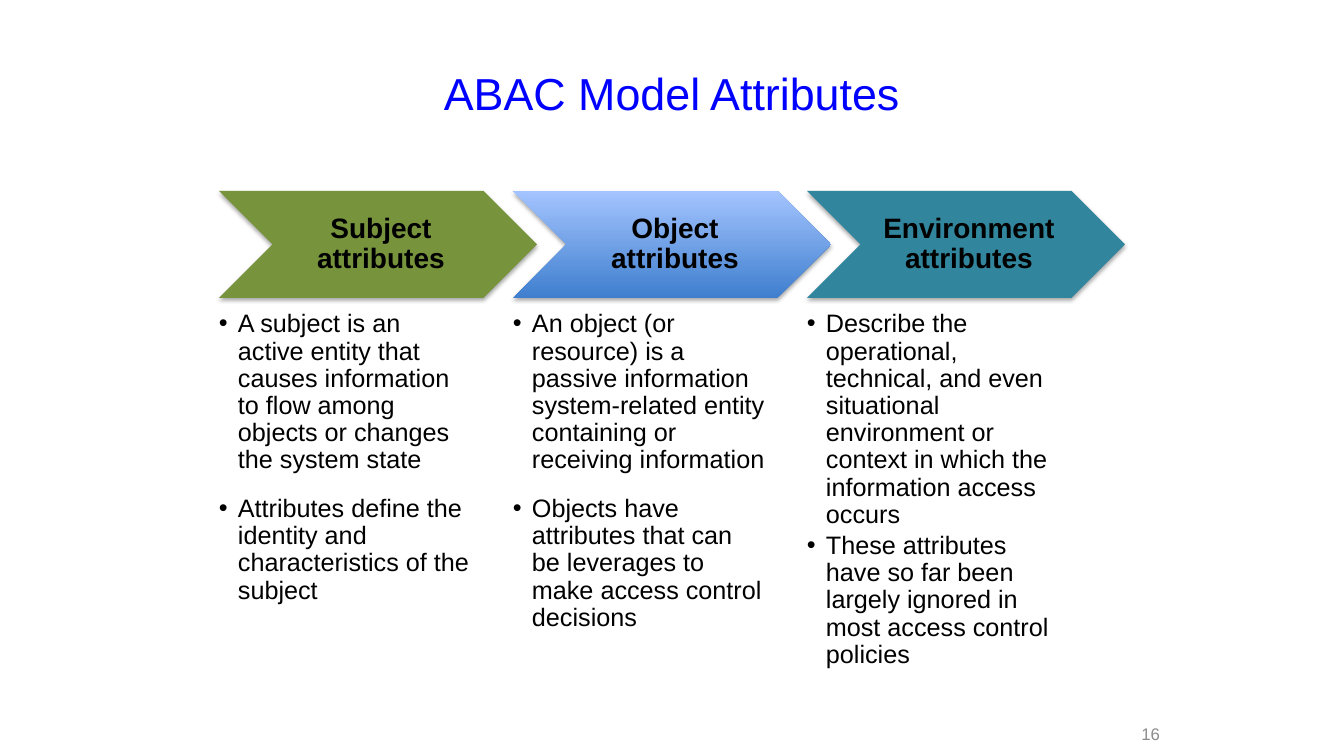
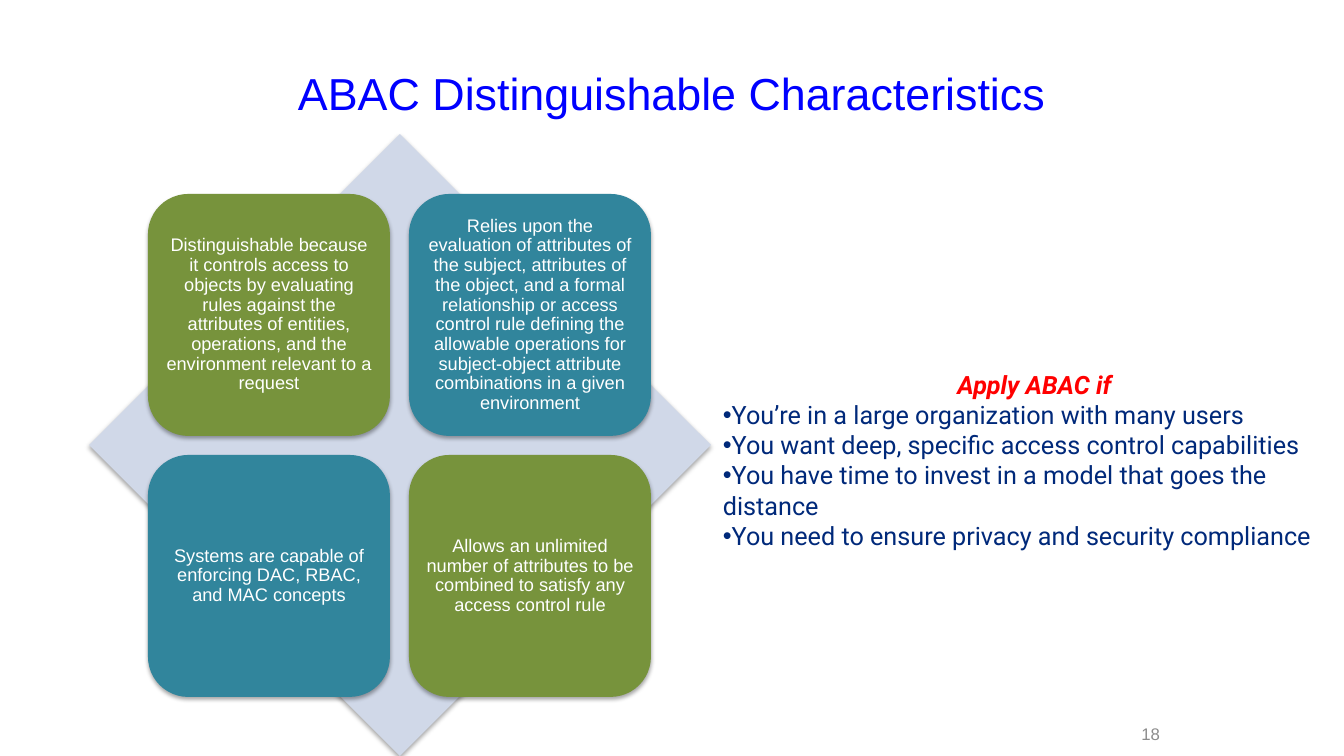
from lxml.etree import SubElement
from pptx import Presentation
from pptx.dml.color import RGBColor
from pptx.enum.shapes import MSO_SHAPE
from pptx.enum.text import MSO_ANCHOR, PP_ALIGN
from pptx.oxml.ns import qn
from pptx.util import Emu, Pt

EMU_PER_PX = 914400 / 100.8
GREEN, TEAL, PALE = "77933C", "31859C", "D0D8E8"
GRADIENT = ("3F7FCE", "A4C4FF")
BLACK, WHITE, GREY = "000000", "FFFFFF", "8C8C8C"
BLUE, NAVY, RED = "0000FF", "00297A", "FF0000"

COLUMNS = [
    ("Subject attributes", GREEN, 15.2, [
        "A subject is an active entity that causes information to flow among objects "
        "or changes the system state",
        "Attributes define the identity and characteristics of the subject",
    ]),
    ("Object attributes", GRADIENT, 15.2, [
        "An object (or resource) is a passive information system-related entity "
        "containing or receiving information",
        "Objects have attributes that can be leverages to make access control decisions",
    ]),
    ("Environment attributes", TEAL, 2.7, [
        "Describe the operational, technical, and even situational environment or "
        "context in which the information access occurs",
        "These attributes have so far been largely ignored in most access control policies",
    ]),
]
TILES = [
    ("Distinguishable because it controls access to objects by evaluating rules against "
     "the attributes of entities, operations, and the environment relevant to a request", GREEN),
    ("Relies upon the evaluation of attributes of the subject, attributes of the object, "
     "and a formal relationship or access control rule defining the allowable operations "
     "for subject-object attribute combinations in a given environment", TEAL),
    ("Systems are capable of enforcing DAC, RBAC, and MAC concepts", TEAL),
    ("Allows an unlimited number of attributes to be combined to satisfy any access "
     "control rule", GREEN),
]
ADVICE = [
    "Apply ABAC if",
    "You’re in a large organization with many users",
    "You want deep, specific access control capabilities",
    "You have time to invest in a model that goes the distance",
    "You need to ensure privacy and security compliance",
]


def px(length):
    return Emu(round(length * EMU_PER_PX))


def rgb(color):
    return RGBColor.from_string(color)


def set_margins(frame, left, top, right, bottom):
    frame.margin_left, frame.margin_top = px(left), px(top)
    frame.margin_right, frame.margin_bottom = px(right), px(bottom)


def format_paragraph(para, size, color, align=PP_ALIGN.LEFT, name="Arial",
                     bold=False, italic=False):
    para.alignment = align
    for span in para.runs:
        font = span.font
        font.name, font.size, font.bold, font.italic = name, Pt(size), bold, italic
        font.color.rgb = rgb(color)


def add_bullet(para, indent=0):
    properties = para._p.get_or_add_pPr()
    properties.set("marL", str(px(indent)))
    properties.set("indent", str(-px(indent)))
    SubElement(properties, qn("a:buFont")).set("typeface", "Arial")
    SubElement(properties, qn("a:buChar")).set("char", "•")


def add_text(page, area, text, anchor=MSO_ANCHOR.TOP):
    box = page.shapes.add_textbox(*map(px, area))
    frame = box.text_frame
    frame.word_wrap = True
    frame.vertical_anchor = anchor
    frame.text = text
    return frame


def add_shadow(shape):
    shape.shadow.inherit = False
    effects = shape._element.spPr.find(qn("a:effectLst"))
    shadow = SubElement(effects, qn("a:outerShdw"), blurRad=str(Pt(3.1)), dist=str(Pt(1.8)),
                        dir="5400000", rotWithShape="0")
    tint = SubElement(shadow, qn("a:srgbClr"), val=BLACK)
    SubElement(tint, qn("a:alpha"), val="35000")


def add_shadowed_shape(page, kind, area, fill):
    shape = page.shapes.add_shape(kind, *map(px, area))
    if isinstance(fill, tuple):
        shape.fill.gradient()
        shape.fill.gradient_angle = 90
        for stop, color in zip(shape.fill.gradient_stops, fill):
            stop.color.rgb = rgb(color)
    else:
        shape.fill.solid()
        shape.fill.fore_color.rgb = rgb(fill)
    shape.line.fill.background()
    add_shadow(shape)
    return shape


def add_label(shape, text, margins, size, color, bold=False):
    frame = shape.text_frame
    frame.word_wrap = True
    frame.vertical_anchor = MSO_ANCHOR.MIDDLE
    set_margins(frame, *margins)
    frame.text = text
    para = frame.paragraphs[0]
    para.line_spacing = 0.9
    format_paragraph(para, size, color, PP_ALIGN.CENTER, bold=bold)


def add_page(deck, title, number):
    page = deck.slides.add_slide(deck.slide_layouts[6])
    heading = add_text(page, (67, 30, 1210, 126), title, MSO_ANCHOR.MIDDLE)
    format_paragraph(heading.paragraphs[0], 32, BLUE, PP_ALIGN.CENTER)
    footer = add_text(page, (1102, 726, 68, 15), str(number), MSO_ANCHOR.MIDDLE)
    format_paragraph(footer.paragraphs[0], 12, GREY, PP_ALIGN.RIGHT)
    return page


def add_column(page, left, heading, fill, gap, points):
    chevron = add_shadowed_shape(page, MSO_SHAPE.CHEVRON, (left, 191, 318, 107), fill)
    add_label(chevron, heading, (9, 3, 3, 3), 20, BLACK, bold=True)
    frame = add_text(page, (left, 311, 254, 350), "\n".join(points))
    set_margins(frame, 0, 0, 0, 0)
    for para in frame.paragraphs:
        add_bullet(para, 19)
        para.line_spacing = 0.9
        para.space_after = Pt(gap)
        format_paragraph(para, 18, BLACK)


def add_tile_matrix(page):
    add_shadowed_shape(page, MSO_SHAPE.DIAMOND, (89, 134, 622, 622), PALE)
    side, pitch = 242, 261
    for index, (text, fill) in enumerate(TILES):
        row, column = divmod(index, 2)
        area = (148 + column * pitch, 194 + row * pitch, side, side)
        tile = add_shadowed_shape(page, MSO_SHAPE.ROUNDED_RECTANGLE, area, fill)
        add_label(tile, text, (5, 5, 5, 5), 13, WHITE)


def add_advice(page):
    frame = add_text(page, (713, 364, 643, 163), "\n".join(ADVICE))
    heading, *points = frame.paragraphs
    format_paragraph(heading, 18, RED, PP_ALIGN.CENTER, "Roboto", bold=True, italic=True)
    for para in points:
        add_bullet(para)
        format_paragraph(para, 18, NAVY, name="Roboto")


def main():
    deck = Presentation()
    deck.slide_width, deck.slide_height = px(1344), px(756)
    attributes = add_page(deck, "ABAC Model Attributes", 16)
    for index, column in enumerate(COLUMNS):
        add_column(attributes, 219 + index * 294, *column)
    characteristics = add_page(deck, "ABAC Distinguishable Characteristics", 18)
    add_tile_matrix(characteristics)
    add_advice(characteristics)
    deck.save("out.pptx")


if __name__ == "__main__":
    main()
